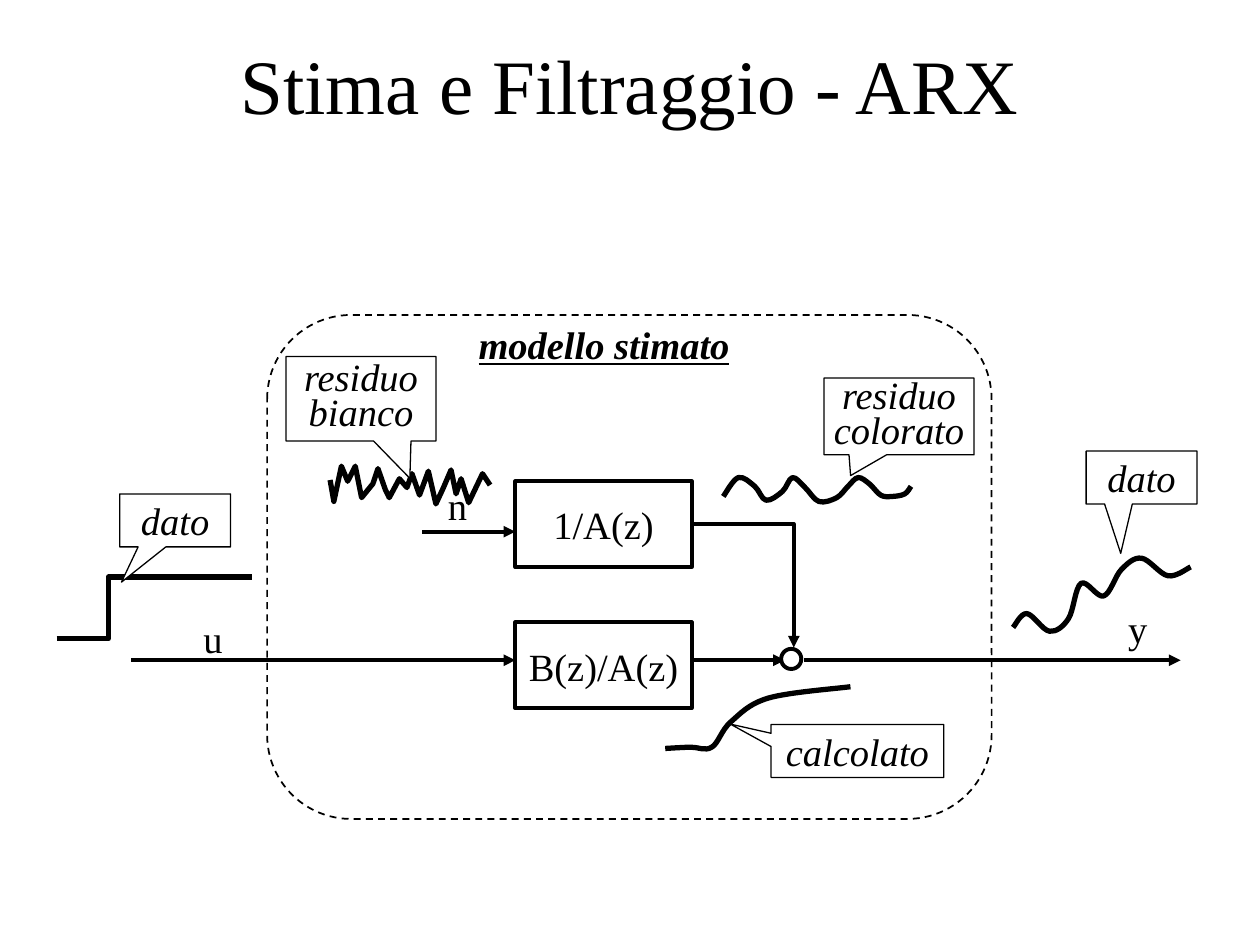
from pptx import Presentation
from pptx.util import Inches, Pt
from pptx.dml.color import RGBColor
from pptx.enum import dml, shapes, text
from pptx.oxml import ns, xmlchemy

FONT = "Times New Roman"
HEX = {"ink": "000000", "paper": "FFFFFF"}
KIND = shapes.MSO_SHAPE


def color(name):
    return RGBColor.from_string(HEX[name])


def write(shape, words, size=22, inset=(0.1, 0.05), anchor="TOP", align="CENTER",
          wrap=True, space=None, **style):
    frame = shape.text_frame
    frame.text = words
    frame.word_wrap = wrap
    frame.vertical_anchor = getattr(text.MSO_ANCHOR, anchor)
    frame.margin_left = frame.margin_right = Inches(inset[0])
    frame.margin_top = frame.margin_bottom = Inches(inset[1])
    for par in frame.paragraphs:
        par.alignment = getattr(text.PP_ALIGN, align)
        par.line_spacing = space
        for run in par.runs:
            run.font.name, run.font.size = FONT, Pt(size)
            run.font.color.rgb = color("ink")
            for key, value in style.items():
                setattr(run.font, key, value)


def stroke(shape, width, arrow=False):
    shape.line.color.rgb = color("ink")
    shape.line.width = Pt(width)
    if arrow:
        tail = xmlchemy.OxmlElement("a:tailEnd")
        tail.set("type", "triangle")
        shape._element.spPr.find(ns.qn("a:ln")).append(tail)


def draw(slide, kind, x, y, w, h, width, fill=None):
    shape = slide.shapes.add_shape(kind, Inches(x), Inches(y), Inches(w), Inches(h))
    shape.shadow.inherit = False
    if fill:
        shape.fill.solid()
        shape.fill.fore_color.rgb = color(fill)
    else:
        shape.fill.background()
    stroke(shape, width)
    return shape


def label(slide, words, x, y, w=0.48, **style):
    box = slide.shapes.add_textbox(Inches(x), Inches(y), Inches(w), Inches(0.47))
    write(box, words, **style)


def block(slide, words, x, y):
    shape = draw(slide, KIND.RECTANGLE, x, y, 1.4, 0.68, 2.25)
    write(shape, words, inset=(0.04, 0.16))


def callout(slide, words, x, y, w, h, tip, space=None):
    shape = draw(slide, KIND.RECTANGULAR_CALLOUT, x, y, w, h, 0.75, "paper")
    shape.adjustments[0], shape.adjustments[1] = tip
    write(shape, words, anchor="MIDDLE", wrap=False, space=space, italic=True)


def arrow(slide, x, y, end):
    line = slide.shapes.add_connector(shapes.MSO_CONNECTOR.STRAIGHT, Inches(x),
                                      Inches(y), Inches(end), Inches(y))
    stroke(line, 2.25, arrow=True)
    line._element.spPr.append(xmlchemy.OxmlElement("a:effectLst"))


def trace(slide, x, y, knots, width=3, smooth=False, arrow=False):
    pts = [(Inches(x + dx), Inches(y + dy)) for dx, dy in knots]
    pen = slide.shapes.build_freeform(*pts[0])
    pen.add_line_segments(pts[1:], close=False)
    shape = pen.convert_to_shape()
    shape.shadow.inherit = False
    shape.fill.background()
    stroke(shape, width, arrow)
    if smooth:
        bend(shape)


def bend(shape):
    """Turn straight segments into a smooth curve through the same knots."""
    route = next(shape._element.iter(ns.qn("a:path")))
    pts = [(int(pt.get("x")), int(pt.get("y"))) for pt in route.iter(ns.qn("a:pt"))]
    padded = [pts[0]] + pts + [pts[-1]]
    for i, seg in enumerate(route.findall(ns.qn("a:lnTo"))):
        before, start, end, after = padded[i:i + 4]
        first = [s + (e - b) / 6 for b, s, e in zip(before, start, end)]
        second = [e - (a - s) / 6 for s, e, a in zip(start, end, after)]
        curve = xmlchemy.OxmlElement("a:cubicBezTo")
        for px, py in (first, second, end):
            pt = xmlchemy.OxmlElement("a:pt")
            pt.set("x", str(round(px)))
            pt.set("y", str(round(py)))
            curve.append(pt)
        route.replace(seg, curve)


def heading(slide, x, y, w, h):
    title = slide.shapes.title
    title.left, title.top, title.width, title.height = map(Inches, (x, y, w, h))
    write(title, "Stima e Filtraggio - ARX", size=44, anchor="MIDDLE")


def source(slide, x, y):
    # Step signal u entering the model
    arrow(slide, x + 0.59, y + 1.32, x + 3.64)
    label(slide, "u", x + 1, y + 0.91)
    trace(slide, x, y, [(0, 1.15), (0.41, 1.15), (0.41, 0.66), (1.55, 0.66)])
    callout(slide, "dato", x + 0.5, y, 0.88, 0.42, (-0.484, 1.167))


def output(slide, x, y):
    # Measured signal y leaving the model
    arrow(slide, x - 1.66, y + 1.66, x + 1.33)
    label(slide, "y", x + 0.75, y + 1.17)
    wave = [(0, 1.4), (0.11, 1.29), (0.29, 1.43), (0.44, 1.33), (0.54, 1.05),
            (0.72, 1.15), (0.86, 0.94), (1.02, 0.85), (1.23, 0.99), (1.41, 0.92)]
    trace(slide, x, y, wave, smooth=True)
    callout(slide, "dato", x + 0.58, y, 0.88, 0.42, (-0.188, 1.433))


def model(slide, x, y, w, h):
    # Transfer blocks and summing node
    block(slide, "B(z)/A(z)", x + 1.97, y + 2.44)
    block(slide, "1/A(z)", x + 1.97, y + 1.32)
    arrow(slide, x + 3.36, y + 2.74, x + 4.11)
    arrow(slide, x + 1.23, y + 1.72, x + 1.97)
    label(slide, "n", x + 1.27, y + 1.28)
    draw(slide, KIND.OVAL, x + 4.08, y + 2.65, 0.16, 0.16, 2.25, "paper")
    trace(slide, x, y, [(3.37, 1.66), (4.18, 1.66), (4.18, 2.64)], 2.25, arrow=True)

    # Signals: computed response, white noise, coloured noise
    rise = [(3.16, 3.44), (3.36, 3.43), (3.53, 3.43), (3.68, 3.23), (3.98, 3.04),
            (4.63, 2.95)]
    white = [(0.5, 1.31), (0.53, 1.48), (0.59, 1.2), (0.64, 1.32), (0.7, 1.2),
             (0.75, 1.45), (0.84, 1.34), (0.88, 1.22), (0.94, 1.39), (0.97, 1.45),
             (1.05, 1.3), (1.11, 1.37), (1.15, 1.26), (1.21, 1.43), (1.28, 1.24),
             (1.34, 1.5), (1.4, 1.37), (1.46, 1.23), (1.5, 1.42), (1.54, 1.3),
             (1.6, 1.49), (1.71, 1.26), (1.77, 1.35)]
    tinted = [(3.62, 1.44), (3.74, 1.29), (3.87, 1.36), (3.96, 1.47), (4.09, 1.4),
              (4.17, 1.29), (4.27, 1.37), (4.38, 1.48), (4.52, 1.45), (4.61, 1.36),
              (4.69, 1.29), (4.78, 1.34), (4.87, 1.43), (4.96, 1.44), (5.06, 1.42),
              (5.11, 1.36)]
    trace(slide, x, y, rise, smooth=True)
    trace(slide, x, y, white)
    trace(slide, x, y, tinted, smooth=True)

    # Callouts
    callout(slide, "calcolato", x + 4, y + 3.25, 1.37, 0.42, (-0.736, -0.508))
    callout(slide, "residuo\vcolorato", x + 4.42, y + 0.5, 1.19, 0.61,
            (-0.323, 0.77), 0.75)
    callout(slide, "residuo\vbianco", x + 0.15, y + 0.33, 1.19, 0.67,
            (0.326, 0.943), 0.75)

    # Dashed frame and its name
    frame = draw(slide, KIND.ROUNDED_RECTANGLE, x, y, w, h, 1)
    frame.line.dash_style = dml.MSO_LINE.DASH
    label(slide, "modello stimato", x + 1.58, y, 2.33, align="LEFT",
          bold=True, italic=True, underline=True)


def main():
    deck = Presentation()
    deck.slide_width, deck.slide_height = Inches(10), Inches(7.5)
    slide = deck.slides.add_slide(deck.slide_layouts[5])
    heading(slide, 0, 0, 10, 1.33)
    source(slide, 0.45, 3.92)
    output(slide, 8.04, 3.58)
    model(slide, 2.12, 2.5, 5.75, 4)
    deck.save("out.pptx")


if __name__ == "__main__":
    main()
